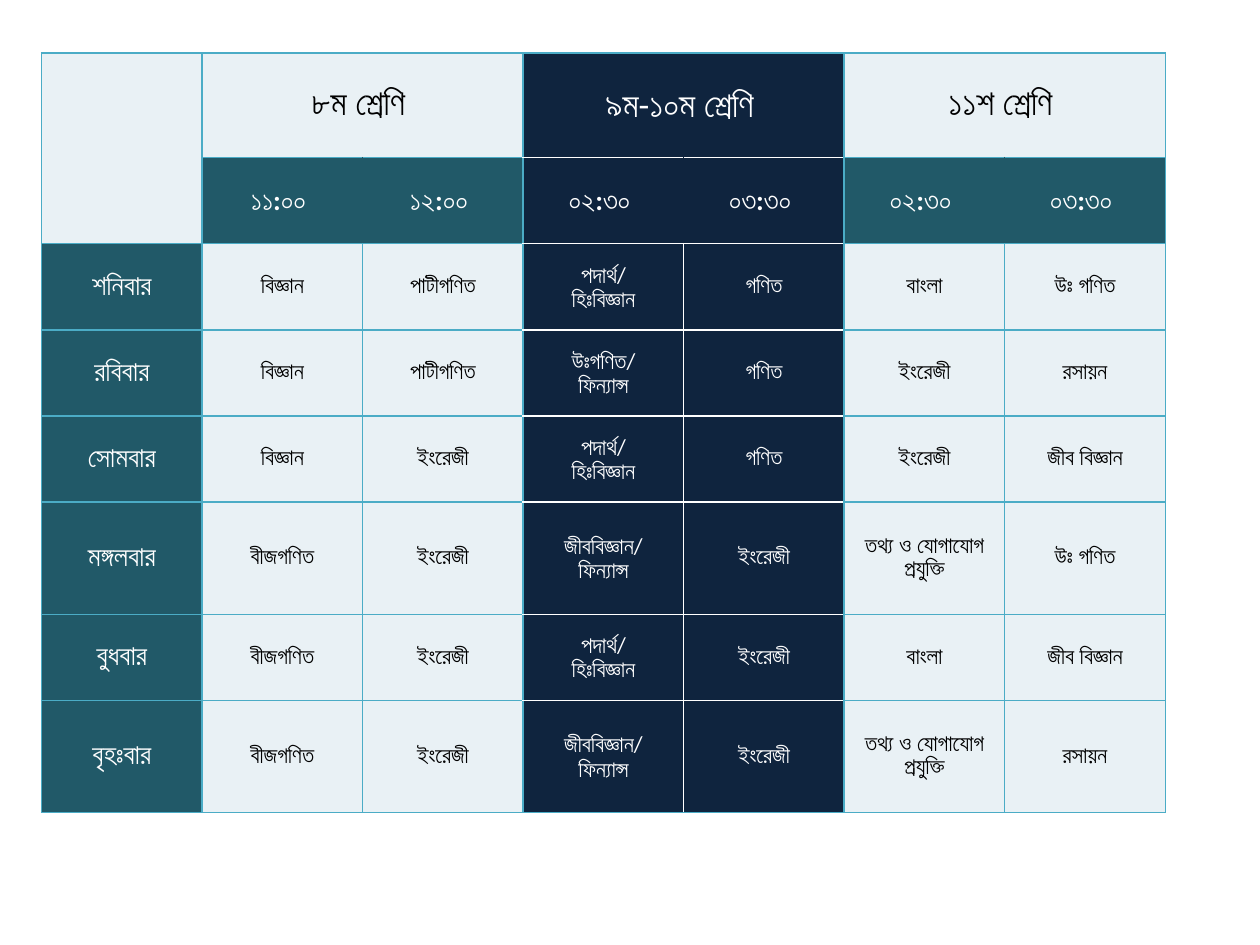
from lxml.etree import SubElement
from pptx import Presentation
from pptx.dml.color import RGBColor
from pptx.enum.text import MSO_ANCHOR, PP_ALIGN
from pptx.oxml.ns import qn
from pptx.util import Inches, Pt

WHITE = RGBColor(0xFF, 0xFF, 0xFF)
BLACK = RGBColor(0x00, 0x00, 0x00)
PALE = RGBColor(0xE9, 0xF1, 0xF5)
TEAL = RGBColor(0x21, 0x59, 0x68)
NAVY = RGBColor(0x0F, 0x24, 0x3E)
AQUA = RGBColor(0x4B, 0xAC, 0xC6)

CLASSES = ["৮ম শ্রেণি ", "৯ম-১০ম শ্রেণি ", "১১শ শ্রেণি "]
TIMES = ["১১:০০ ", "১২:০০ ", "০২:৩০ ", "০৩:৩০ ", "০২:৩০ ", "০৩:৩০ "]

# Subjects that recur through the week
SCIENCE, ARITHMETIC, ALGEBRA = "বিজ্ঞান", "পাটীগণিত", "বীজগণিত"
MATHS, HIGHER_MATHS = "গণিত", "উঃ গণিত"
ENGLISH, BANGLA = "ইংরেজী", "বাংলা"
PHYSICS, FINANCE = "পদার্থ/\nহিঃবিজ্ঞান", "জীববিজ্ঞান/\nফিন্যান্স"
BIOLOGY, CHEMISTRY = "জীব বিজ্ঞান", "রসা\u09dfন"
ICT = "তথ্য ও যোগাযোগ প্রযুক্তি"

WEEK = [
    ["শনিবার", SCIENCE, ARITHMETIC, PHYSICS, MATHS, BANGLA, HIGHER_MATHS],
    ["রবিবার", SCIENCE, ARITHMETIC, "উঃগণিত/\nফিন্যান্স", MATHS, ENGLISH, CHEMISTRY],
    ["সোমবার", SCIENCE, ENGLISH, PHYSICS, MATHS, ENGLISH, BIOLOGY],
    ["মঙ্গলবার", ALGEBRA, ENGLISH, FINANCE, ENGLISH, ICT, HIGHER_MATHS],
    ["বুধবার", ALGEBRA, ENGLISH, PHYSICS, ENGLISH, BANGLA, BIOLOGY],
    ["বৃহঃবার", ALGEBRA, ENGLISH, FINANCE, ENGLISH, ICT, CHEMISTRY],
]
ROWS = [["", CLASSES[0], "", CLASSES[1], "", CLASSES[2], ""], [""] + TIMES] + WEEK
ROW_COUNT, COLUMN_COUNT = len(ROWS), len(ROWS[0])
NAVY_COLUMNS = (3, 4)
TALL_ROWS = {0: 0.83, 5: 0.89, 7: 0.89}
WIDTH, HEIGHT = 8.92, 6.03


def write_text(frame, text, font="Calibri", size=13, color=BLACK, bold=False):
    frame.text = text
    for paragraph in frame.paragraphs:
        paragraph.alignment = PP_ALIGN.CENTER
        for run in paragraph.runs:
            run.font.name = font
            run.font.size = Pt(size)
            run.font.bold = bold
            run.font.color.rgb = color


def cell_fill(row, column):
    if column in NAVY_COLUMNS:
        return NAVY
    is_time = row == 1 and column > 0
    is_day = row > 1 and column == 0
    return TEAL if is_time or is_day else PALE


def vertical_line(row, line):
    """Colour of the grid line left of column number `line`."""
    if line in (0, 1, 3, 5, 7):
        return AQUA
    if row == 1:
        return cell_fill(row, line)
    return WHITE if line == 4 else AQUA


def horizontal_line(line, column):
    """Colour of the grid line above row number `line`."""
    inside = 0 < line < ROW_COUNT
    return WHITE if inside and column in NAVY_COLUMNS else AQUA


class Routine:
    def __init__(self, width, height):
        self.deck = Presentation()
        self.deck.slide_width = Inches(width)
        self.deck.slide_height = Inches(height)
        self.slide = self.deck.slides.add_slide(self.deck.slide_layouts[6])
        self.line_width = Pt(1)

    def table(self, left, top):
        timetable = self.slide.shapes.add_table(
            ROW_COUNT, COLUMN_COUNT, Inches(left), Inches(top),
            Inches(WIDTH), Inches(HEIGHT)).table
        timetable.first_row = timetable.horz_banding = False
        for column in timetable.columns:
            column.width = Inches(WIDTH / COLUMN_COUNT)
        regular = (HEIGHT - sum(TALL_ROWS.values())) / (ROW_COUNT - len(TALL_ROWS))
        for number, row in enumerate(timetable.rows):
            row.height = Inches(TALL_ROWS.get(number, regular))

        # Corner and class headings
        timetable.cell(0, 0).merge(timetable.cell(1, 0))
        for column in range(1, COLUMN_COUNT, 2):
            timetable.cell(0, column).merge(timetable.cell(0, column + 1))

        for row, texts in enumerate(ROWS):
            for column, text in enumerate(texts):
                self.cell(timetable.cell(row, column), row, column, text)

    def cell(self, cell, row, column, text):
        self.border(cell, "L", vertical_line(row, column))
        self.border(cell, "R", vertical_line(row, column + 1))
        self.border(cell, "T", horizontal_line(row, column))
        self.border(cell, "B", horizontal_line(row + 1, column))
        fill = cell_fill(row, column)
        cell.fill.solid()
        cell.fill.fore_color.rgb = fill
        cell.vertical_anchor = MSO_ANCHOR.MIDDLE
        cell.margin_left = cell.margin_right = Inches(0.07)
        cell.margin_top = cell.margin_bottom = Inches(0.04)
        if text:
            strong = row == 1 or column == 0
            write_text(cell.text_frame, text, bold=strong or row == 0,
                       size=20 if row == 0 else 16 if strong else 13,
                       color=BLACK if fill == PALE else WHITE) if row else write_text(
                           cell.text_frame, text, size=20,
                           color=BLACK if fill == PALE else WHITE)

    def border(self, cell, side, color):
        properties = cell._tc.get_or_add_tcPr()
        line = SubElement(properties, qn(f"a:ln{side}"), w=str(self.line_width))
        solid = SubElement(line, qn("a:solidFill"))
        SubElement(solid, qn("a:srgbClr"), val=str(color))


# Weekly class routine
routine = Routine(10, 7.5)
routine.table(0.33, 0.42)
routine.deck.save("out.pptx")
